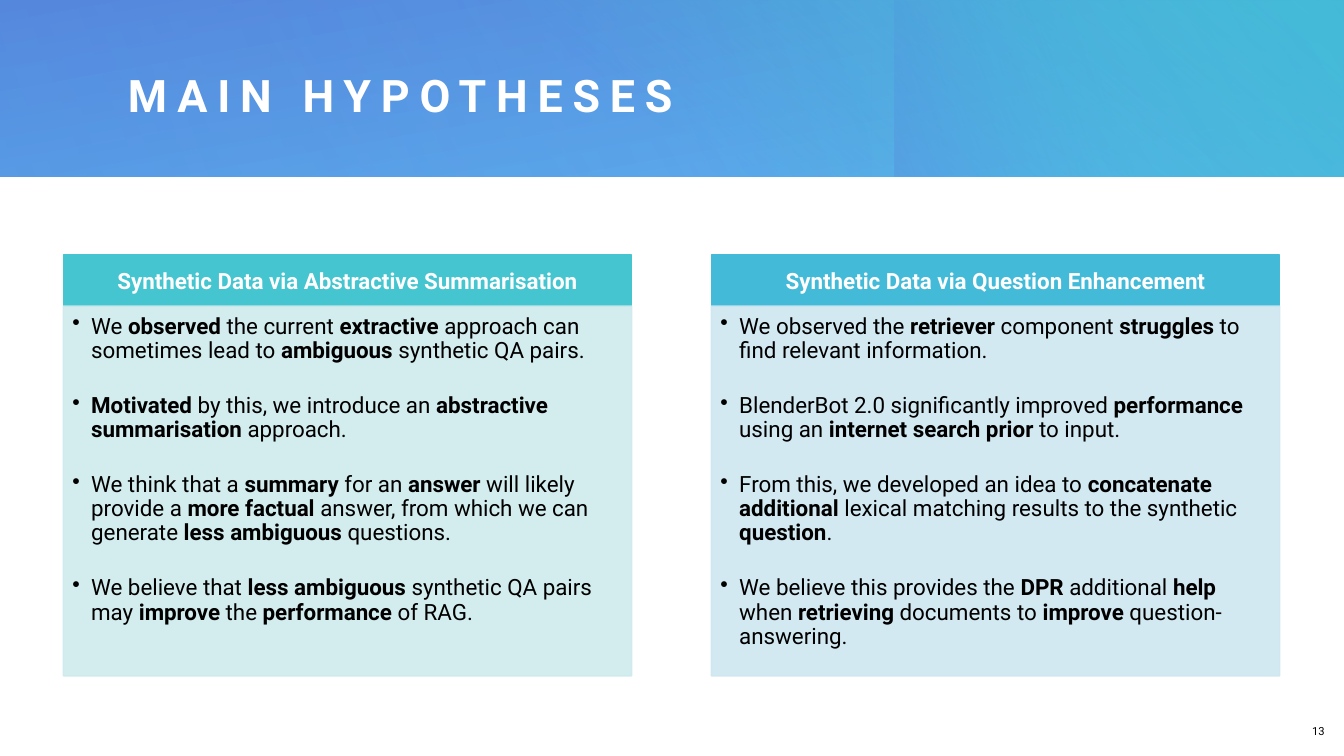
from pptx import Presentation
from pptx.dml.color import RGBColor
from pptx.enum.shapes import MSO_SHAPE
from pptx.enum.text import MSO_ANCHOR, MSO_AUTO_SIZE, PP_ALIGN
from pptx.oxml.ns import qn
from pptx.util import Pt
from lxml import etree

RECT = MSO_SHAPE.RECTANGLE
TOP, MIDDLE = MSO_ANCHOR.TOP, MSO_ANCHOR.MIDDLE
LEFT, CENTER, RIGHT = PP_ALIGN.LEFT, PP_ALIGN.CENTER, PP_ALIGN.RIGHT
NO_FIT = MSO_AUTO_SIZE.NONE

WHITE = RGBColor(0xFF, 0xFF, 0xFF)
BLACK = RGBColor(0, 0, 0)
SKY = RGBColor(0x45, 0xA5, 0xED)
AZURE = RGBColor(0x45, 0xB0, 0xE3)
INDIGO = RGBColor(0x59, 0x82, 0xDB)
TEAL = RGBColor(0x44, 0xC5, 0xCF)
CYAN = RGBColor(0x44, 0xBA, 0xD9)
MINT = RGBColor(0xCF, 0xEA, 0xED)
ICE = RGBColor(0xCF, 0xE7, 0xF1)

# Box, rotation, gradient angle, stops of (position, colour, opacity) in percent
BANDS = [
    ((0, 0, 960, 126.3), 0, 260, [(0, SKY, 83), (100, INDIGO, 100)]),
    ((346.3, 0.7, 613.7, 125.6), 0, 310, [(22, TEAL, 0), (99, TEAL, 100)]),
    ((710.6, -71.3, 126, 269.3), 270, 250, [(45, AZURE, 0), (99, INDIGO, 33)]),
    ((193.2, 0, 766.8, 126.3), 180, 330, [(0, SKY, 30), (99, SKY, 0)]),
    ((0, 0, 622.8, 126.3), 0, 340, [(0, SKY, 21), (99, SKY, 0)]),
]

# Asterisks enclose bold words
PANELS = [
    ("Synthetic Data via Abstractive Summarisation", TEAL, MINT, [
        "We *observed* the current *extractive* approach can sometimes lead to "
        "*ambiguous* synthetic QA pairs.",
        "*Motivated* by this, we introduce an *abstractive summarisation* approach.",
        "We think that a *summary* for an *answer* will likely provide a "
        "*more factual* answer, from which we can generate *less ambiguous* questions.",
        "We believe that *less ambiguous* synthetic QA pairs may *improve* the "
        "*performance* of RAG.",
    ]),
    ("Synthetic Data via Question Enhancement", CYAN, ICE, [
        "We observed the *retriever* component *struggles* to find relevant information.",
        "BlenderBot 2.0 significantly improved *performance* using an "
        "*internet search prior* to input.",
        "From this, we developed an idea to *concatenate additional* lexical matching "
        "results to the synthetic *question*.",
        "We believe this provides the *DPR* additional *help* when *retrieving* "
        "documents to *improve* question-answering.",
    ]),
]


class Deck:
    font = "Roboto"
    size = 16

    def __init__(self):
        self.prs = Presentation()
        self.prs.slide_width, self.prs.slide_height = Pt(960), Pt(540)
        self.slide = self.prs.slides.add_slide(self.prs.slide_layouts[5])
        self.shapes = self.slide.shapes

    def fade(self, shape, levels):
        """Give the shape's colours, in order, these opacities in percent."""
        for color, level in zip(shape._element.spPr.iter(qn("a:srgbClr")), levels):
            etree.SubElement(color, qn("a:alpha")).set("val", str(level * 1000))

    def rect(self, box):
        shape = self.shapes.add_shape(RECT, *map(Pt, box))
        shape.shadow.inherit = False
        return shape

    def band(self, box, turn, angle, stops):
        shape = self.rect(box)
        shape.rotation = turn
        shape.line.fill.background()
        shape.fill.gradient()
        shape.fill.gradient_angle = 360 - angle
        for stop, (place, color, _) in zip(shape.fill.gradient_stops, stops):
            stop.position = place / 100
            stop.color.rgb = color
        self.fade(shape, [level for _, _, level in stops])

    def block(self, box, color):
        shape = self.rect(box)
        shape.fill.solid()
        shape.fill.fore_color.rgb = color
        shape.line.color.rgb = color
        shape.line.width = Pt(1)
        return shape

    def frame(self, shape, anchor, insets):
        frame = shape.text_frame
        frame.word_wrap = True
        frame.auto_size = NO_FIT
        frame.vertical_anchor = anchor
        (frame.margin_left, frame.margin_top,
         frame.margin_right, frame.margin_bottom) = map(Pt, insets)
        return frame

    def style(self, para, align, color, size=size, bold=None):
        para.alignment = align
        font = para.font
        font.name, font.size, font.bold = self.font, Pt(size), bold
        font.color.rgb = color

    def line(self, shape, text, align, color, size=size, bold=None,
             insets=(0, 0, 0, 0)):
        """Write one paragraph, centred in height."""
        para = self.frame(shape, MIDDLE, insets).paragraphs[0]
        para.text = text
        self.style(para, align, color, size, bold)
        return para

    def title(self, text, box):
        shape = self.shapes.title
        self.shapes._spTree.append(shape._element)  # in front of the bands
        shape.left, shape.top, shape.width, shape.height = map(Pt, box)
        para = self.line(shape, text, LEFT, WHITE, 32, True)
        para.runs[0]._r.get_or_add_rPr().set("spc", "700")

    def label(self, text, box):
        shape = self.shapes.add_textbox(*map(Pt, box))
        self.line(shape, text, RIGHT, BLACK, 8, insets=(7.2, 3.6, 7.2, 3.6))

    def bullets(self, shape, items):
        frame = self.frame(shape, TOP, (6.4, 6.4, 8.5, 9.6))
        for i, item in enumerate(items):
            para = frame.add_paragraph() if i else frame.paragraphs[0]
            para.line_spacing = 0.9
            para.space_before = Pt(22 if i else 0)
            props = para._p.get_or_add_pPr()
            props.set("marL", str(Pt(13.5)))
            props.set("indent", str(-Pt(13.5)))
            etree.SubElement(props, qn("a:buChar")).set("char", "•")
            self.style(para, LEFT, BLACK)
            for j, part in enumerate(item.split("*")):
                if part:
                    run = para.add_run()
                    run.text = part
                    run.font.bold = j % 2 == 1

    def panel(self, left, head, dark, pale, items):
        top, width, tall = 182.2, 406, 36.4
        bar = self.block((left, top, width, tall), dark)
        self.line(bar, head, CENTER, WHITE, bold=True, insets=(8.5, 5, 8.5, 5))
        body = self.block((left, top + tall, width, 264.2), pale)
        self.fade(body, (90, 90))
        self.bullets(body, items)


def main():
    deck = Deck()
    for band in BANDS:
        deck.band(*band)
    deck.title("MAIN HYPOTHESES", (91.4, 29.5, 817.2, 76.3))
    deck.label("13", (918.7, 504.7, 34.6, 35.3))
    for i, panel in enumerate(PANELS):
        deck.panel(45.2 + i * 462.9, *panel)
    deck.prs.save("out.pptx")


if __name__ == "__main__":
    main()
